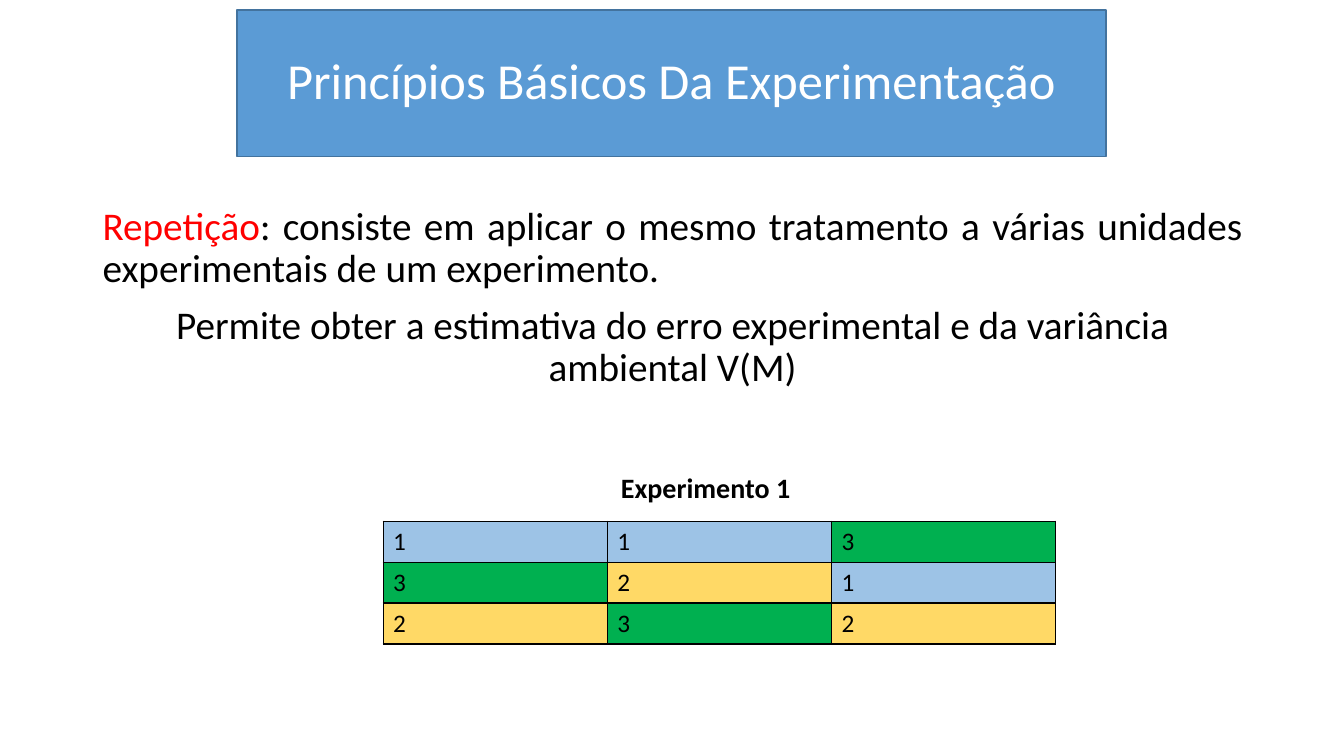
from lxml.etree import SubElement
from pptx import Presentation
from pptx.dml.color import RGBColor
from pptx.enum.shapes import MSO_SHAPE
from pptx.enum.text import MSO_ANCHOR, PP_ALIGN
from pptx.oxml.ns import qn
from pptx.util import Inches, Pt

TREATMENTS = [[1, 1, 3], [3, 2, 1], [2, 3, 2]]
TREATMENT_COLORS = {1: "9DC3E6", 2: "FFD966", 3: "00B050"}


def color(value):
    """Return the colour for a hex string."""
    return RGBColor.from_string(value)


def set_font(font, size, value="000000", bold=False):
    """Set typeface, size, colour and weight."""
    font.name = "Calibri"
    font.size = Pt(size)
    font.bold = bold
    font.color.rgb = color(value)


def add_title(slide, text):
    """Add the filled title banner."""
    banner = slide.shapes.add_shape(
        MSO_SHAPE.RECTANGLE, Inches(2.35), Inches(0.1), Inches(8.62), Inches(1.45))
    banner.shadow.inherit = False
    banner.fill.solid()
    banner.fill.fore_color.rgb = color("5B9BD5")
    banner.line.color.rgb = color("43739E")
    banner.line.width = Pt(1)
    banner.text_frame.vertical_anchor = MSO_ANCHOR.MIDDLE
    paragraph = banner.text_frame.paragraphs[0]
    paragraph.text = text
    paragraph.alignment = PP_ALIGN.CENTER
    paragraph.line_spacing = 0.9
    set_font(paragraph.font, 36, "FFFFFF")


def add_body(slide, term, definition, purpose):
    """Add the definition with its highlighted term, then its purpose."""
    box = slide.shapes.add_textbox(Inches(0.92), Inches(2), Inches(11.5), Inches(4.76))
    frame = box.text_frame
    frame.word_wrap = True
    first, second = frame.paragraphs[0], frame.add_paragraph()
    first.alignment = PP_ALIGN.JUSTIFY
    second.alignment = PP_ALIGN.CENTER
    second.space_before = Pt(10)
    for paragraph in (first, second):
        paragraph.line_spacing = 0.9
        set_font(paragraph.font, 28)
    for text, value in ((term, "FF0000"), (definition, "000000")):
        run = first.add_run()
        run.text = text
        set_font(run.font, 28, value)
    second.text = purpose


def add_caption(slide, text):
    """Add the bold caption above the table."""
    box = slide.shapes.add_textbox(Inches(6.06), Inches(4.62), Inches(1.9), Inches(0.44))
    box.text_frame.word_wrap = False
    paragraph = box.text_frame.paragraphs[0]
    paragraph.text = text
    set_font(paragraph.font, 20, bold=True)


def add_borders(cell):
    """Draw thin black borders around a cell."""
    properties = cell._tc.get_or_add_tcPr()
    for index, side in enumerate(("a:lnL", "a:lnR", "a:lnT", "a:lnB")):
        line = properties.makeelement(qn(side), {"w": str(Pt(1))})
        fill = SubElement(line, qn("a:solidFill"))
        SubElement(fill, qn("a:srgbClr"), {"val": "000000"})
        properties.insert(index, line)


def add_plot_table(slide, treatments):
    """Add the grid of plots coloured by treatment."""
    rows, columns = len(treatments), len(treatments[0])
    table = slide.shapes.add_table(
        rows, columns, Inches(3.8), Inches(5.17), Inches(6.67), Inches(1.22)).table
    table.first_row = False
    table.horz_banding = False
    for row, numbers in enumerate(treatments):
        for column, number in enumerate(numbers):
            cell = table.cell(row, column)
            cell.fill.solid()
            cell.fill.fore_color.rgb = color(TREATMENT_COLORS[number])
            add_borders(cell)
            paragraph = cell.text_frame.paragraphs[0]
            paragraph.text = str(number)
            set_font(paragraph.font, 18)


def main():
    """Build and save the slide."""
    presentation = Presentation()
    presentation.slide_width = Inches(13.33)
    presentation.slide_height = Inches(7.5)
    slide = presentation.slides.add_slide(presentation.slide_layouts[6])
    add_title(slide, "Princípios Básicos Da Experimentação")
    add_body(
        slide,
        "Repetição",
        ": consiste em aplicar o mesmo tratamento a várias unidades "
        "experimentais de um experimento.",
        "Permite obter a estimativa do erro experimental e da variância ambiental V(M)")
    add_plot_table(slide, TREATMENTS)
    add_caption(slide, "Experimento 1")
    presentation.save("out.pptx")


if __name__ == "__main__":
    main()
